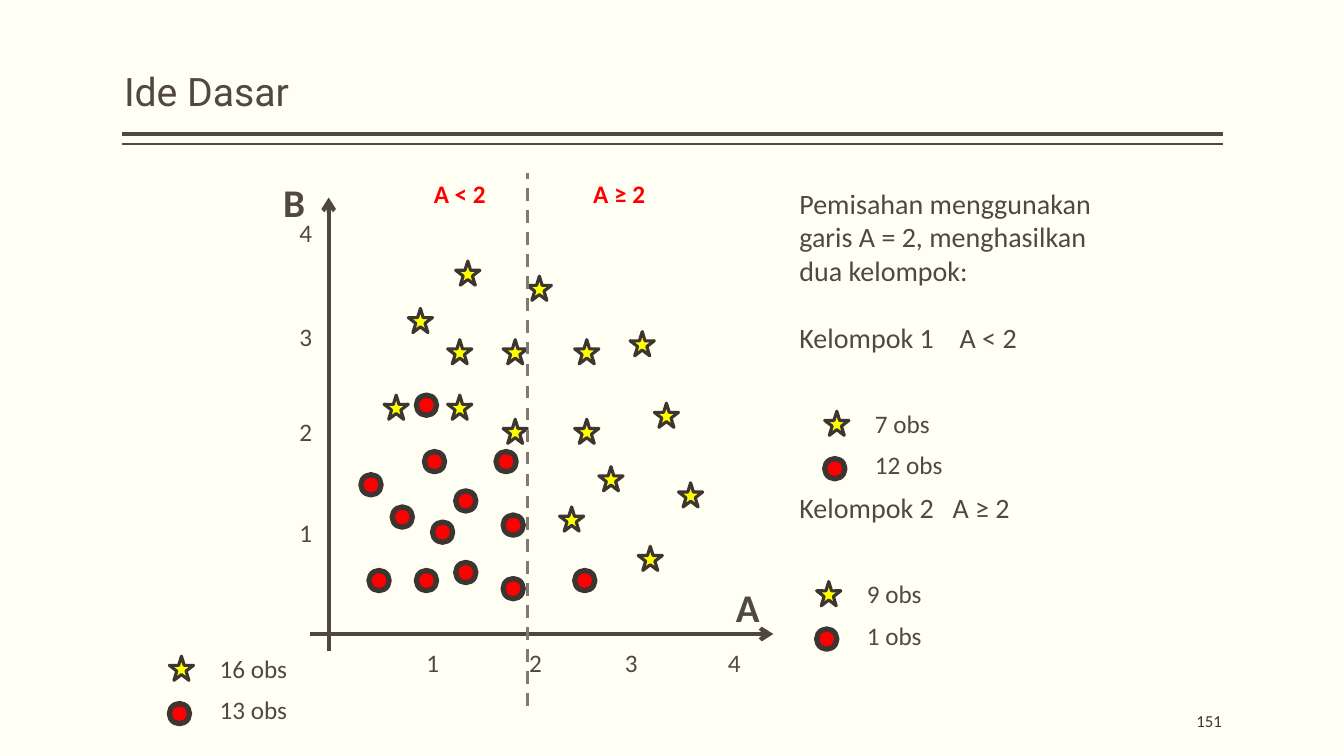
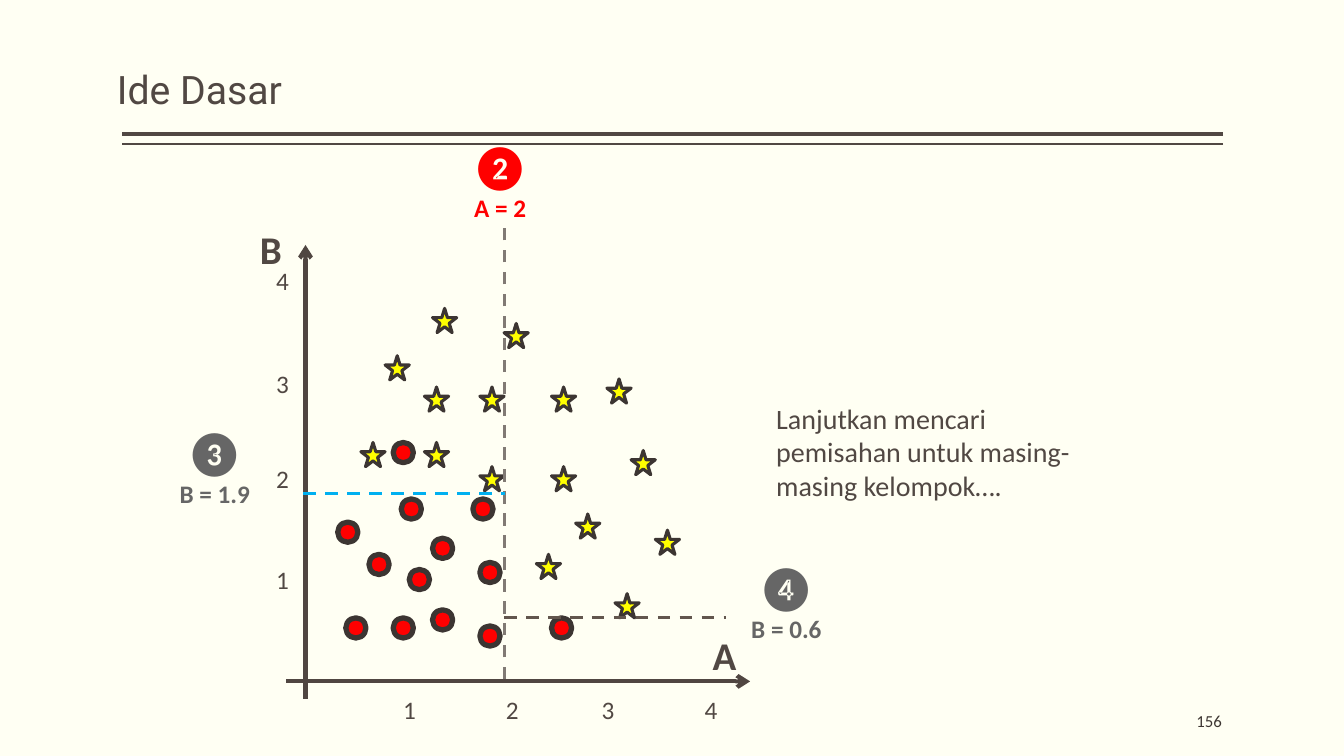
from lxml import etree
from pptx import Presentation
from pptx import util as u
from pptx.dml.color import RGBColor
from pptx.enum import dml, shapes, text
from pptx.oxml.ns import qn

PX = 9144  # one hundredth of an inch
INK, EDGE, AXIS, SPLIT = "514843", "3C3532", "504641", "817A74"
RED, YELLOW, GREY, BLUE, BROWN = "FF0000", "FFFF00", "666666", "00B0F0", "62564D"
PAPER, PAGE_INK = "FFFFF3", "3D3632"
BODY, TITLE = "Calibri", "Roboto"

PLOT_STARS = [
    (181, 87), (134, 134), (228, 165), (252, 102), (354, 157), (228, 244),
    (299, 165), (323, 291), (299, 244), (378, 228), (284, 331), (402, 307),
    (173, 220), (110, 220), (173, 165), (362, 370),
]
PLOT_DOTS = [
    (150, 276), (221, 276), (181, 315), (118, 331), (181, 386), (228, 339),
    (158, 346), (299, 394), (228, 402), (142, 220), (87, 299), (142, 394),
    (95, 394),
]
X_TICKS = [142, 244, 339, 441]
Y_TICKS = [336, 236, 142, 39]
STAR = (shapes.MSO_SHAPE.STAR_5_POINT, 24, YELLOW, 2.25)
DOT = (shapes.MSO_SHAPE.FLOWCHART_CONNECTOR, 20, RED, 3.78)


def px(*lengths):
    return [u.Emu(n * PX) for n in lengths]


def rgb(code):
    return RGBColor.from_string(code)


def set_all(obj, **values):
    for name, value in values.items():
        setattr(obj, name, value)


def add_tab(p, position):
    tabs = etree.SubElement(p._p.get_or_add_pPr(), qn("a:tabLst"))
    etree.SubElement(tabs, qn("a:tab"), pos=str(position * PX), algn="l")


def add_text(parent, box, paragraphs, size=18, color=INK, font=BODY, bold=False,
             frame=None, **layout):
    """Each paragraph is a string, or a string with its own overrides."""
    tf = parent.add_textbox(*px(*box)).text_frame
    set_all(tf, word_wrap=True, **(frame or {}))
    if isinstance(paragraphs, str):
        paragraphs = [paragraphs]
    for i, item in enumerate(paragraphs):
        content, own = (item, {}) if isinstance(item, str) else item
        p = tf.add_paragraph() if i else tf.paragraphs[0]
        if "tab" in own:
            add_tab(p, own["tab"])
        set_all(p, **layout)
        if "before" in own:
            p.space_before = u.Pt(own["before"])
        r = p.add_run()
        r.text = content
        set_all(r.font, name=font, size=u.Pt(own.get("size", size)),
                bold=own.get("bold", bold))
        r.font.color.rgb = rgb(color)


def add_line(parent, ends, color, width, dashed=False, arrow=False):
    c = parent.add_connector(shapes.MSO_CONNECTOR.STRAIGHT, *px(*ends))
    c.line.color.rgb = rgb(color)
    c.line.width = u.Pt(width)
    if dashed:
        c.line.dash_style = dml.MSO_LINE.DASH
    spPr = c.element.spPr
    if arrow:
        etree.SubElement(spPr.find(qn("a:ln")), qn("a:tailEnd"), type="arrow")
    etree.SubElement(spPr, qn("a:effectLst"))


def add_marker(parent, kind, x, y):
    preset, size, fill, width = kind
    sp = parent.add_shape(preset, *px(x, y, size, size))
    sp.shadow.inherit = False
    sp.fill.solid()
    sp.fill.fore_color.rgb = rgb(fill)
    sp.line.color.rgb = rgb(EDGE)
    sp.line.width = u.Pt(width)


def add_frame(prs, title_at, number):
    """New slide with the title, the double rule and the page number."""
    s = prs.slides.add_slide(prs.slide_layouts[6])
    for y, width in ((133, 3), (143, 1)):
        add_line(s.shapes, (1213, y, 121, y), INK, width)
    flush = {"margin_left": 0, "margin_right": 0}
    add_text(s.shapes, (*title_at, 862, 83), "Ide Dasar", 28, font=TITLE,
             frame={**flush, "vertical_anchor": text.MSO_ANCHOR.BOTTOM},
             line_spacing=0.9)
    add_text(s.shapes, (1012, 695, 200, 40), number, 12, PAGE_INK,
             frame={**flush, "vertical_anchor": text.MSO_ANCHOR.MIDDLE},
             alignment=text.PP_ALIGN.RIGHT)
    return s.shapes


def add_plot(parent, x, y):
    g = parent.add_group_shape().shapes
    for x1, y1, x2, y2 in ((55, 474, 55, 24), (36, 457, 496, 457)):
        add_line(g, (x + x1, y + y1, x + x2, y + y2), AXIS, 3, arrow=True)
    for value, (dx, dy) in enumerate(zip(X_TICKS, Y_TICKS), 1):
        add_text(g, (x + 16, y + dy, 24, 40), str(value))
        add_text(g, (x + dx, y + 465, 24, 40), str(value))
    for kind, points in ((STAR, PLOT_STARS), (DOT, PLOT_DOTS)):
        for dx, dy in points:
            add_marker(g, kind, x + dx, y + dy)
    for name, dx, dy in (("B", 0, 0), ("A", 449, 402)):
        add_text(g, (x + dx, y + dy, 47, 57), name, 28, bold=True)


def add_legend(parent, x, y, stars, dots):
    g = parent.add_group_shape().shapes
    add_marker(g, STAR, x, y + 8)
    add_marker(g, DOT, x, y + 55)
    for dy, count in ((0, stars), (41, dots)):
        add_text(g, (x + 40, y + dy, 110, 40), f"{count} obs")


def add_callout(parent, x, y, badge, rule, color):
    add_text(parent, (x, y, 118, 94),
             [(badge, {"size": 32}), (rule, {"bold": True})],
             color=color, alignment=text.PP_ALIGN.CENTER)


def first_split_slide(prs):
    sh = add_frame(prs, (123, 36), "151")
    add_legend(sh, 168, 643, 16, 13)
    add_text(sh, (783, 180, 315, 414), [
        "Pemisahan menggunakan garis A = 2, menghasilkan dua kelompok:",
        ("Kelompok 1\tA < 2", {"before": 24, "tab": 159}),
        ("Kelompok 2\tA ≥ 2", {"before": 97, "tab": 152}),
    ], 20)
    add_plot(sh, 271, 172)
    add_line(sh, (523, 700, 523, 172), SPLIT, 2.25, dashed=True)
    for x, rule in ((397, "A < 2"), (555, "A ≥ 2")):
        add_text(sh, (x, 172, 118, 40), rule, color=RED, bold=True,
                 alignment=text.PP_ALIGN.CENTER)
    add_legend(sh, 818, 400, 7, 12)
    add_legend(sh, 810, 569, 9, 1)


def next_splits_slide(prs):
    sh = add_frame(prs, (116, 34), "156")
    add_text(sh, (760, 393, 315, 145),
             "Lanjutkan mencari pemisahan untuk masing-masing kelompok….", 20)
    add_plot(sh, 248, 219)
    for ends, line_color, at, badge, rule, color in (
        ((500, 674, 500, 224), SPLIT, (437, 133), "❷", "A = 2", RED),
        ((301, 490, 501, 490), BLUE, (154, 416), "❸", "B = 1.9", GREY),
        ((500, 613, 720, 613), BROWN, (721, 550), "❹", "B = 0.6", GREY),
    ):
        add_line(sh, ends, line_color, 2.25, dashed=True)
        add_callout(sh, *at, badge, rule, color)


def main():
    prs = Presentation()
    prs.slide_width, prs.slide_height = px(1333, 750)
    paper = prs.slide_master.background.fill
    paper.solid()
    paper.fore_color.rgb = rgb(PAPER)
    first_split_slide(prs)
    next_splits_slide(prs)
    prs.save("out.pptx")


if __name__ == "__main__":
    main()
